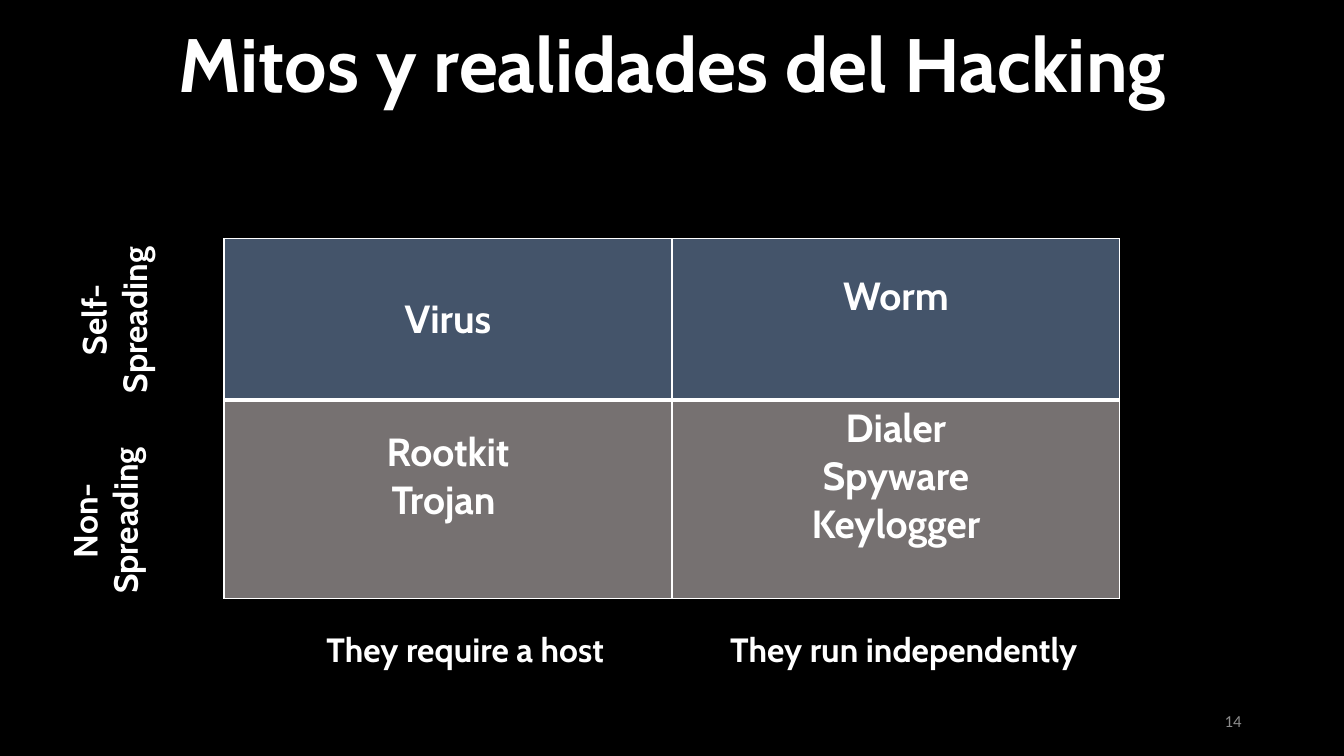
from dataclasses import dataclass

from lxml import etree
from pptx import Presentation
from pptx import util as u
from pptx.dml.color import RGBColor
from pptx.enum import text
from pptx.oxml import ns


@dataclass(frozen=True)
class Theme:
    """Colours, fonts and type sizes of the slide."""

    background: str = "000000"
    white: str = "FFFFFF"
    muted: str = "8C8C8C"
    spreading: str = "44546A"
    static: str = "767171"
    font: str = "Cabin"
    number_font: str = "Calibri"
    title: int = 54
    cell: int = 28
    label: int = 24
    number: int = 12


THEME = Theme()


def write(frame, words, size, color=THEME.white, font=THEME.font, bold=True,
          align=text.PP_ALIGN.CENTER):
    """Fill a text frame and format every run alike."""
    frame.text = words
    for para in frame.paragraphs:
        para.alignment = align
        for span in para.runs:
            span.font.size = u.Pt(size)
            span.font.name = font
            span.font.bold = bold
            span.font.color.rgb = RGBColor.from_string(color)


def add_text(page, place, words, size, rotation=0, wrap=True, **style):
    """Add a text box at left, top, width, height."""
    box = page.shapes.add_textbox(*map(u.Pt, place))
    box.rotation = rotation
    box.text_frame.word_wrap = wrap
    box.text_frame.vertical_anchor = text.MSO_ANCHOR.MIDDLE
    write(box.text_frame, words, size, **style)


def add_side_label(page, center_x, center_y, width, words):
    """Add a row label that reads upwards around its centre."""
    height = 65.5
    place = (center_x - width / 2, center_y - height / 2, width, height)
    add_text(page, place, words, THEME.label, rotation=270)


def set_borders(cell, widths):
    """Draw white cell borders with the given widths by side."""
    properties = cell._tc.get_or_add_tcPr()
    for index, (side, width) in enumerate(widths.items()):
        line = etree.Element(ns.qn(f"a:ln{side}"), w=str(u.Pt(width)))
        fill = etree.SubElement(line, ns.qn("a:solidFill"))
        etree.SubElement(fill, ns.qn("a:srgbClr"), val=THEME.white)
        properties.insert(index, line)


def add_matrix(page, place, row_heights, rows):
    """Add the table of malware kinds, one fill colour per row."""
    frame = page.shapes.add_table(len(rows), 2, *map(u.Pt, place))
    table = frame.table
    table.first_row = table.horz_banding = False
    for row, (color, entries) in enumerate(rows):
        table.rows[row].height = u.Pt(row_heights[row])
        for column, (words, bottom) in enumerate(entries):
            cell = table.cell(row, column)
            cell.vertical_anchor = text.MSO_ANCHOR.MIDDLE
            cell.margin_bottom = u.Pt(bottom)
            cell.fill.solid()
            cell.fill.fore_color.rgb = RGBColor.from_string(color)
            write(cell.text_frame, words, THEME.cell)
            set_borders(cell, {"L": 1, "R": 1, "T": 3 if row else 1,
                               "B": 1 if row else 3})


def main():
    """Build the slide and save the deck."""
    deck = Presentation()
    deck.slide_width, deck.slide_height = u.Pt(960), u.Pt(540)
    page = deck.slides.add_slide(deck.slide_layouts[6])
    page.background.fill.solid()
    page.background.fill.fore_color.rgb = RGBColor.from_string(THEME.background)

    add_text(page, (678, 500.5, 216, 28.8), "14", THEME.number,
             color=THEME.muted, font=THEME.number_font, bold=False,
             align=text.PP_ALIGN.RIGHT)
    add_text(page, (0, 8, 960, 72.7), "Mitos y realidades del Hacking",
             THEME.title)

    centered, raised = 3.6, 36
    add_matrix(page, (160, 170.6, 640, 257), (115, 142), [
        (THEME.spreading, [("Virus", centered), ("Worm", raised)]),
        (THEME.static, [("Rootkit\nTrojan ", raised),
                        ("Dialer\nSpyware\nKeylogger", raised)]),
    ])

    for left, width, words in [(221.8, 221, "They require a host"),
                               (509.8, 271.4, "They run independently")]:
        add_text(page, (left, 445.7, width, 36), words, THEME.label, wrap=False)

    add_side_label(page, 74.5, 371.9, 169, "Non-Spreading")
    add_side_label(page, 81, 228.6, 142, "Self-Spreading")
    deck.save("out.pptx")


if __name__ == "__main__":
    main()
